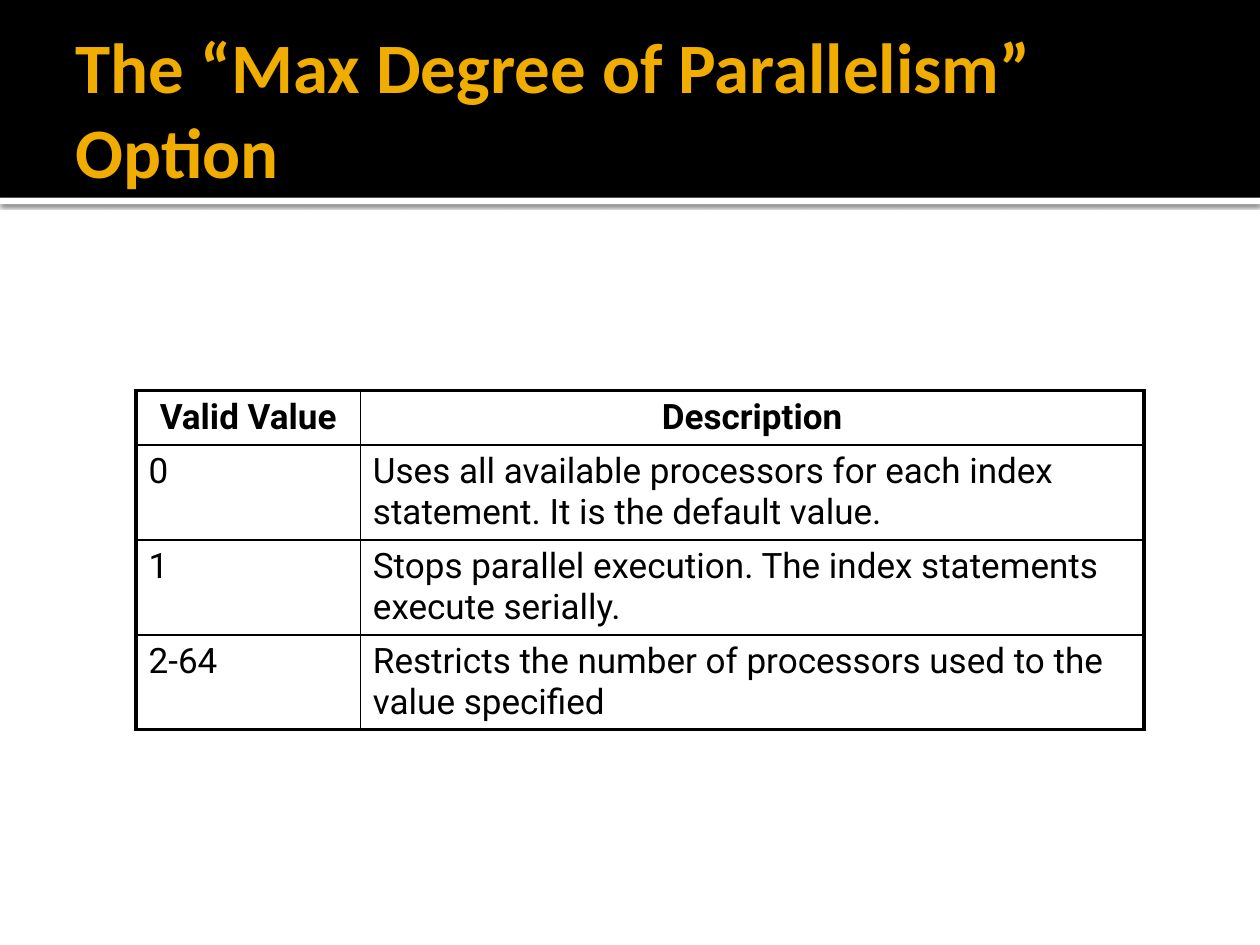
from lxml import etree
from pptx import Presentation
from pptx import util as u
from pptx.dml.color import RGBColor
from pptx.enum import shapes, text
from pptx.oxml.ns import qn

# Content
TITLE = "The “Max Degree of Parallelism” Option"
ROWS = [
    ("Valid Value", "Description"),
    ("0", "Uses all available processors for each index statement. "
          "It is the default value."),
    ("1", "Stops parallel execution. The index statements execute serially."),
    ("2-64", "Restricts the number of processors used to the value specified"),
]

# Look and layout
THEME = {
    "ink": "000000", "paper": "FFFFFF", "gold": "F0AD00",
    "head": ("Calibri", 40.5), "body": ("Roboto", 20),
    "thin": 1, "thick": 2.25,
}
BAND, STRIPE = 1.57, 0.05
LEFT, TOP = 1.08, 3.1
COLS = (1.78, 6.22)
HEAD, ROW = 0.43, 0.75


def style(font, face, color, bold):
    name, size = face
    looks = {"name": name, "size": u.Pt(size), "bold": bold}
    for key, val in looks.items():
        setattr(font, key, val)
    font.color.rgb = RGBColor.from_string(THEME[color])


def bar(slide, top, high, color):
    box = slide.shapes.add_shape(
        shapes.MSO_SHAPE.RECTANGLE, 0, u.Inches(top), u.Inches(10), u.Inches(high))
    box.shadow.inherit = False
    box.fill.solid()
    box.fill.fore_color.rgb = RGBColor.from_string(THEME[color])
    box.line.fill.background()
    return box


def shade(box):
    """Soft shadow below a shape."""
    fx = box._element.spPr.find(qn("a:effectLst"))
    cast = etree.SubElement(
        fx, qn("a:outerShdw"), blurRad=str(u.Pt(2.5)), dist=str(u.Pt(0.8)),
        dir="5400000", algn="t", rotWithShape="0")
    tint = etree.SubElement(cast, qn("a:srgbClr"), val=THEME["ink"])
    etree.SubElement(tint, qn("a:alpha"), val="60000")


def border(cell, edges):
    """Draw cell edges; lines must come before the fill."""
    props = cell._tc.get_or_add_tcPr()
    for spot, (side, outer) in enumerate(edges.items()):
        wide = THEME["thick" if outer else "thin"]
        line = etree.Element(qn("a:ln" + side), w=str(u.Pt(wide)))
        fill = etree.SubElement(line, qn("a:solidFill"))
        etree.SubElement(fill, qn("a:srgbClr"), val=THEME["ink"])
        props.insert(spot, line)


def add_title(slide):
    title = slide.shapes.title
    place = {"left": 0.5, "top": 0.17, "width": 9, "height": 1.37}
    for key, val in place.items():
        setattr(title, key, u.Inches(val))
    frame = title.text_frame
    frame.text = TITLE
    looks = {
        "word_wrap": True, "auto_size": text.MSO_AUTO_SIZE.NONE,
        "vertical_anchor": text.MSO_ANCHOR.MIDDLE,
        "margin_left": u.Inches(0.1), "margin_right": u.Inches(0.05),
        "margin_top": u.Inches(0.05), "margin_bottom": u.Inches(0.05),
    }
    for key, val in looks.items():
        setattr(frame, key, val)
    para = frame.paragraphs[0]
    para.alignment = text.PP_ALIGN.LEFT
    style(para.runs[0].font, THEME["head"], "gold", True)
    # Bring the title in front of the band
    slide.shapes._spTree.append(title._element)


def add_grid(slide):
    last, end = len(ROWS) - 1, len(COLS) - 1
    grid = slide.shapes.add_table(
        len(ROWS), len(COLS), u.Inches(LEFT), u.Inches(TOP),
        u.Inches(sum(COLS)), u.Inches(HEAD + ROW * last)).table
    for col, wide in zip(grid.columns, COLS):
        col.width = u.Inches(wide)
    for r, row in enumerate(ROWS):
        grid.rows[r].height = u.Inches(ROW if r else HEAD)
        for c, words in enumerate(row):
            cell = grid.cell(r, c)
            cell.text = words
            cell.fill.solid()
            cell.fill.fore_color.rgb = RGBColor.from_string(THEME["paper"])
            para = cell.text_frame.paragraphs[0]
            para.alignment = text.PP_ALIGN.LEFT if r else text.PP_ALIGN.CENTER
            style(para.runs[0].font, THEME["body"], "ink", r == 0)
            border(cell, {"L": c == 0, "R": c == end, "T": r == 0, "B": r == last})


def main():
    deck = Presentation()
    deck.slide_width, deck.slide_height = u.Inches(10), u.Inches(7.5)
    slide = deck.slides.add_slide(deck.slide_layouts[5])
    # Header band with a white stripe under it
    shade(bar(slide, BAND, STRIPE, "paper"))
    bar(slide, 0, BAND, "ink")
    add_title(slide)
    add_grid(slide)
    deck.save("out.pptx")


if __name__ == "__main__":
    main()
